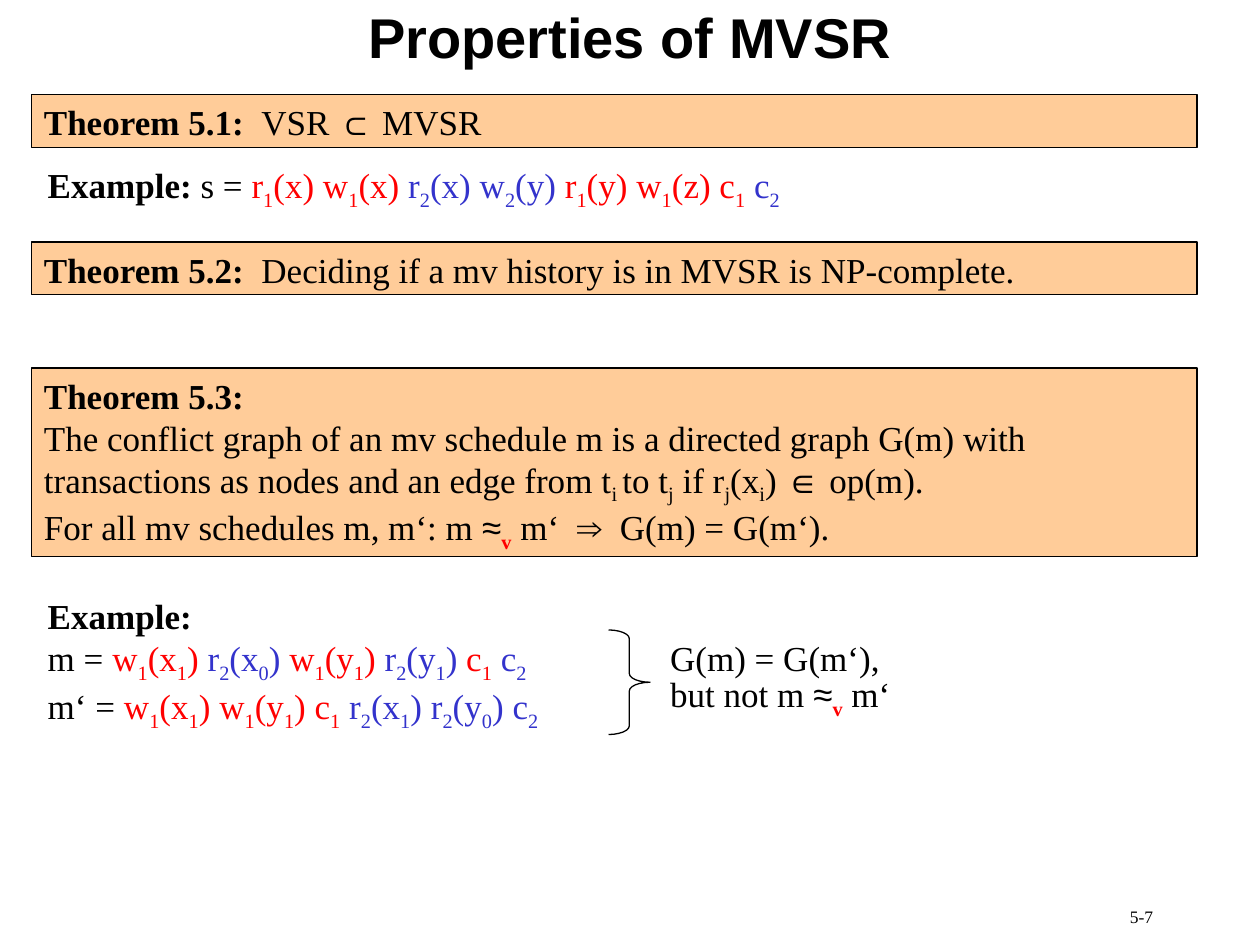
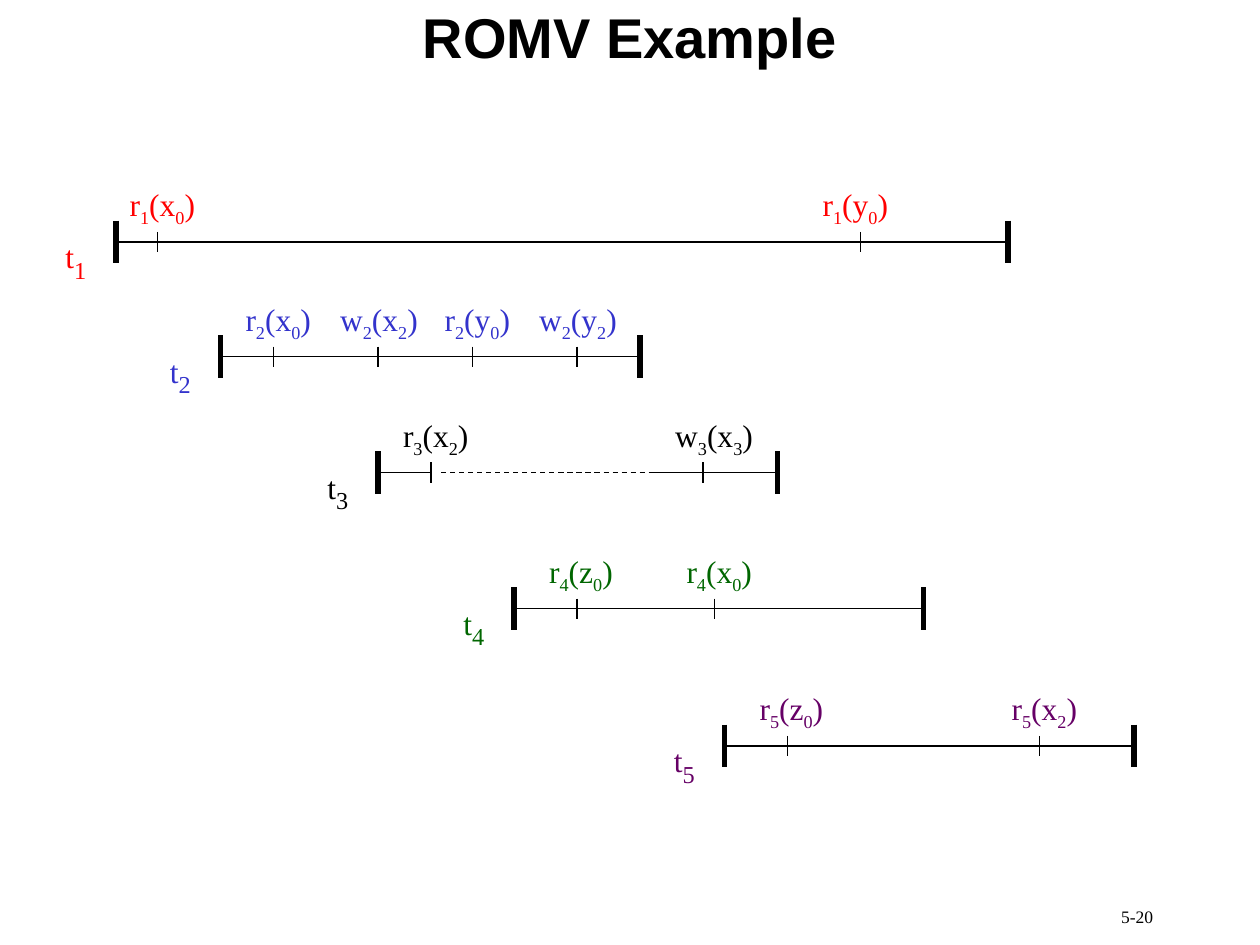
from itertools import groupby
from typing import NamedTuple, Optional

from pptx import Presentation
from pptx.dml.color import RGBColor
from pptx.enum.dml import MSO_LINE_DASH_STYLE as Dash
from pptx.enum.shapes import MSO_CONNECTOR as Connector, MSO_SHAPE as Preset
from pptx.enum.text import MSO_ANCHOR as Anchor, MSO_AUTO_SIZE as AutoSize, PP_ALIGN as Align
from pptx.oxml.ns import qn
from pptx.util import Inches, Pt
from lxml.etree import SubElement

BLACK, RED, BLUE = "000000", "FF0000", "3333CC"
GREEN, PURPLE, PEACH = "006600", "660066", "FFCC99"
SERIF, SANS = "Times New Roman", "Arial"
SYMBOLS = "⊂∈≈⇒"
THIN, THICK = 0.75, 3


class Span(NamedTuple):
    text: str
    color: str = BLACK
    bold: bool = False
    size: Optional[float] = None


class Area(NamedTuple):
    left: float
    top: float
    width: float
    height: float


class Theorem(NamedTuple):
    top: float
    height: float
    lines: list


class Operation(NamedTuple):
    tick: float
    name: str
    item: str
    version: int
    lead: float = 0.32


class Transaction(NamedTuple):
    number: int
    color: str
    y: float
    start: float
    end: float
    operations: list
    pause: Optional[tuple] = None


def rgb(color: str) -> RGBColor:
    return RGBColor.from_string(color)


def red(text: str) -> Span:
    return Span(text, RED)


def blue(text: str) -> Span:
    return Span(text, BLUE)


def bold(text: str, color: str = BLACK) -> Span:
    return Span(text, color, True)


def add_piece(para, text: str, item: Span, size: float, font: str, lowered: bool) -> None:
    span = para.add_run()
    span.text = text
    values = {"name": font, "size": Pt(item.size or size), "bold": item.bold}
    for key, value in values.items():
        setattr(span.font, key, value)
    span.font.color.rgb = rgb(item.color)
    if lowered:
        span._r.get_or_add_rPr().set("baseline", "-25000")


def write(frame, lines: list, size: float, font: str = SERIF,
          align: Align = Align.LEFT, spacing: Optional[float] = None) -> None:
    """Text between underscores is set as a subscript."""
    for index, line in enumerate(lines):
        para = frame.add_paragraph() if index else frame.paragraphs[0]
        para.alignment = align
        para.line_spacing = spacing
        for item in line:
            for part, chunk in enumerate(item.text.split("_")):
                for symbol, letters in groupby(chunk, lambda letter: letter in SYMBOLS):
                    add_piece(para, "".join(letters), item, size,
                              SANS if symbol else font, part % 2 == 1)


def add_text(page, area: Area, lines: list, size: float, right_inset: float = 0.1,
             anchor: Anchor = Anchor.TOP, **style) -> None:
    box = page.shapes.add_textbox(*map(Inches, area))
    settings = {
        "word_wrap": True,
        "auto_size": AutoSize.NONE,
        "vertical_anchor": anchor,
        "margin_right": Inches(right_inset),
    }
    for key, value in settings.items():
        setattr(box.text_frame, key, value)
    write(box.text_frame, lines, size, **style)


def add_outlined(page, preset: Preset, area: Area, fill: Optional[str] = None):
    box = page.shapes.add_shape(preset, *map(Inches, area))
    box.shadow.inherit = False
    if fill:
        box.fill.solid()
        box.fill.fore_color.rgb = rgb(fill)
    else:
        box.fill.background()
    box.line.color.rgb = rgb(BLACK)
    box.line.width = Pt(THIN)
    return box


def add_line(page, x1: float, y1: float, x2: float, y2: float,
             width: float = THIN, dash: Optional[Dash] = None) -> None:
    line = page.shapes.add_connector(Connector.STRAIGHT, *map(Inches, (x1, y1, x2, y2)))
    line.line.color.rgb = rgb(BLACK)
    line.line.width = Pt(width)
    if dash:
        line.line.dash_style = dash
    SubElement(line._element.spPr, qn("a:effectLst"))


def add_page(deck, title: str, number: str):
    page = deck.slides.add_slide(deck.slide_layouts[6])
    add_text(page, Area(7.17, 7.14, 2.08, 0.36), [[Span(number)]], 10, align=Align.RIGHT)
    add_text(page, Area(0, 0, 10, 0.58), [[bold(title)]], 32,
             anchor=Anchor.MIDDLE, font=SANS, align=Align.CENTER)
    return page


def add_theorem(page, theorem: Theorem) -> None:
    box = add_outlined(page, Preset.RECTANGLE,
                       Area(0.25, theorem.top, 9.25, theorem.height), PEACH)
    box.text_frame.word_wrap = True
    box.text_frame.vertical_anchor = Anchor.TOP
    write(box.text_frame, theorem.lines, 20)


def add_transaction(page, item: Transaction) -> None:
    y = item.y
    if item.pause:
        stop, gap_start, resume = item.pause
        add_line(page, item.start, y, stop, y)
        add_line(page, gap_start, y, resume, y, dash=Dash.DASH)
        add_line(page, resume, y, item.end, y)
    else:
        add_line(page, item.start, y, item.end, y)
    for x in (item.start, item.end):
        add_line(page, x, y - 0.17, x, y + 0.17, THICK)
    add_text(page, Area(item.start - 0.5, y - 0.17, 0.38, 0.56),
             [[Span("t", item.color), Span(f"_{item.number}_", item.color, size=24)]],
             18, right_inset=0)
    for step in item.operations:
        add_line(page, step.tick, y - 0.08, step.tick, y + 0.08)
        width = 0.81 if step.name == "w" else 0.72
        label = f"{step.name}_{item.number}_({step.item}_{step.version}_)"
        add_text(page, Area(step.tick - step.lead, y - 0.5, width, 0.44),
                 [[Span(label, item.color)]], 18, right_inset=0)


THEOREMS = [
    Theorem(0.75, 0.42, [[bold("Theorem 5.1:  "), Span("VSR ⊂ MVSR")]]),
    Theorem(1.92, 0.42, [[bold("Theorem 5.2:  "),
                          Span("Deciding if a mv history is in MVSR is NP-complete.")]]),
    Theorem(2.92, 1.5, [
        [bold("Theorem 5.3:")],
        [Span("The conflict graph of an mv schedule m is a directed graph G(m) with")],
        [Span("transactions as nodes and an edge from t_i _to t_j_ if r_j_(x_i_) ∈ op(m).")],
        [Span("For all mv schedules m, m‘: m ≈"), bold("_v_", RED),
         Span(" m‘  ⇒  G(m) = G(m‘).")],
    ]),
]

SCHEDULE = [[bold("Example:"), Span(" s = "), red("r_1_(x) w_1_(x) "),
             blue("r_2_(x) w_2_(y) "), red("r_1_(y) w_1_(z) c_1_ "), blue("c_2_")]]

HISTORIES = [
    [bold("Example:")],
    [Span("m = "), red("w_1_(x_1_) "), blue("r_2_(x_0_) "), red("w_1_(y_1_) "),
     blue("r_2_(y_1_) "), red("c_1_ "), blue("c_2_")],
    [Span("m‘ = "), red("w_1_(x_1_) w_1_(y_1_) c_1_ "), blue("r_2_(x_1_) r_2_(y_0_) c_2_")],
]

CONCLUSION = [
    [Span("G(m) = G(m‘),")],
    [Span("but not m ≈"), bold("_v_", RED), Span(" m‘"), Span(" ", size=24)],
]

TRANSACTIONS = [
    Transaction(1, RED, 1.92, 0.92, 8, [
        Operation(1.25, "r", "x", 0), Operation(6.83, "r", "y", 0, 0.4)]),
    Transaction(2, BLUE, 2.83, 1.75, 5.08, [
        Operation(2.17, "r", "x", 0), Operation(3, "w", "x", 2, 0.4),
        Operation(3.75, "r", "y", 0), Operation(4.58, "w", "y", 2, 0.4)]),
    Transaction(3, BLACK, 3.75, 3, 6.17, [
        Operation(3.42, "r", "x", 2), Operation(5.58, "w", "x", 3)], (3.42, 3.5, 5.17)),
    Transaction(4, GREEN, 4.83, 4.08, 7.33, [
        Operation(4.58, "r", "z", 0), Operation(5.67, "r", "x", 0)]),
    Transaction(5, PURPLE, 5.92, 5.75, 9, [
        Operation(6.25, "r", "z", 0), Operation(8.25, "r", "x", 2)]),
]


def build_properties(deck) -> None:
    page = add_page(deck, "Properties of MVSR", "5-7")
    for theorem in THEOREMS:
        add_theorem(page, theorem)
    add_text(page, Area(0.28, 1.25, 6.01, 0.48), SCHEDULE, 20, right_inset=0)
    add_text(page, Area(0.28, 4.67, 4.09, 1.57), HISTORIES, 20, right_inset=0)
    brace = add_outlined(page, Preset.RIGHT_BRACE, Area(4.83, 5, 0.33, 0.83))
    brace.adjustments[0] = 0.21
    add_text(page, Area(5.22, 5.09, 2.1, 0.64), CONCLUSION, 20, right_inset=0, spacing=0.7)


def build_example(deck) -> None:
    page = add_page(deck, "ROMV Example", "5-20")
    for transaction in TRANSACTIONS:
        add_transaction(page, transaction)


def main() -> None:
    deck = Presentation()
    deck.slide_width, deck.slide_height = Inches(10), Inches(7.5)
    build_properties(deck)
    build_example(deck)
    deck.save("out.pptx")


if __name__ == "__main__":
    main()
